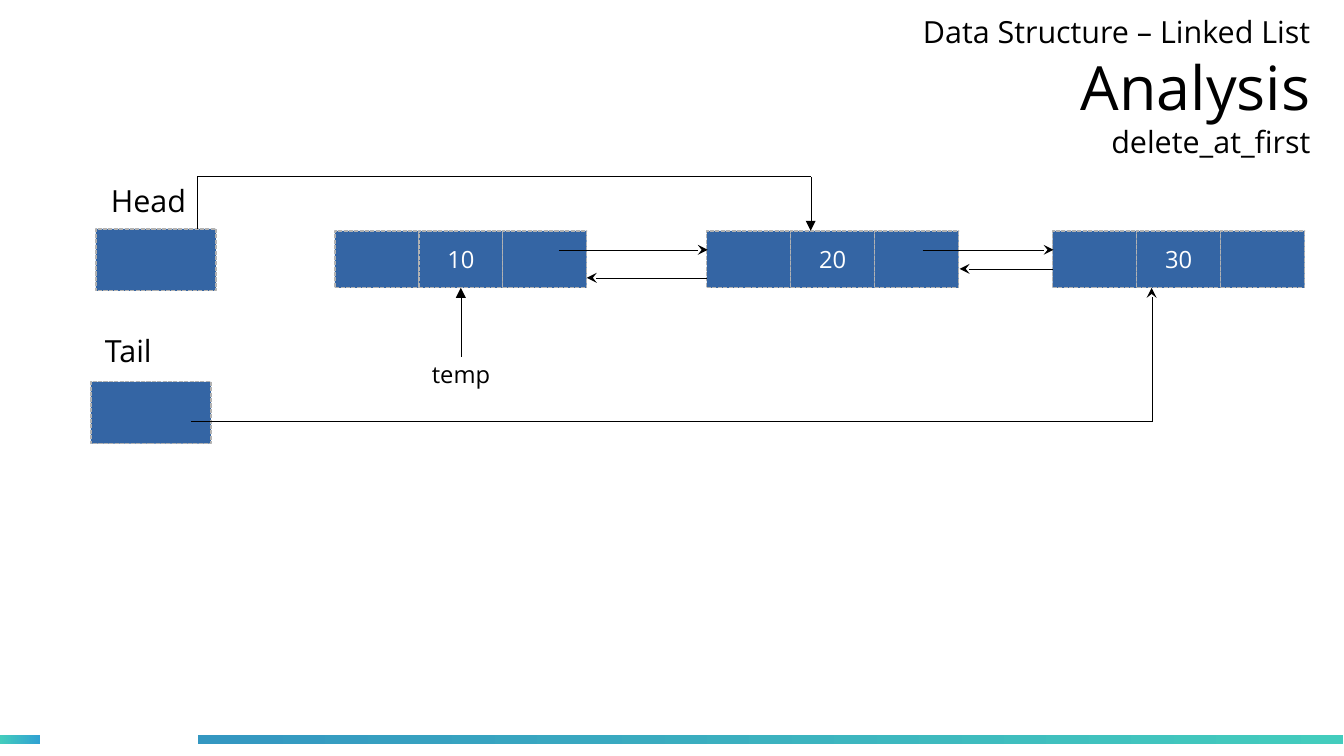
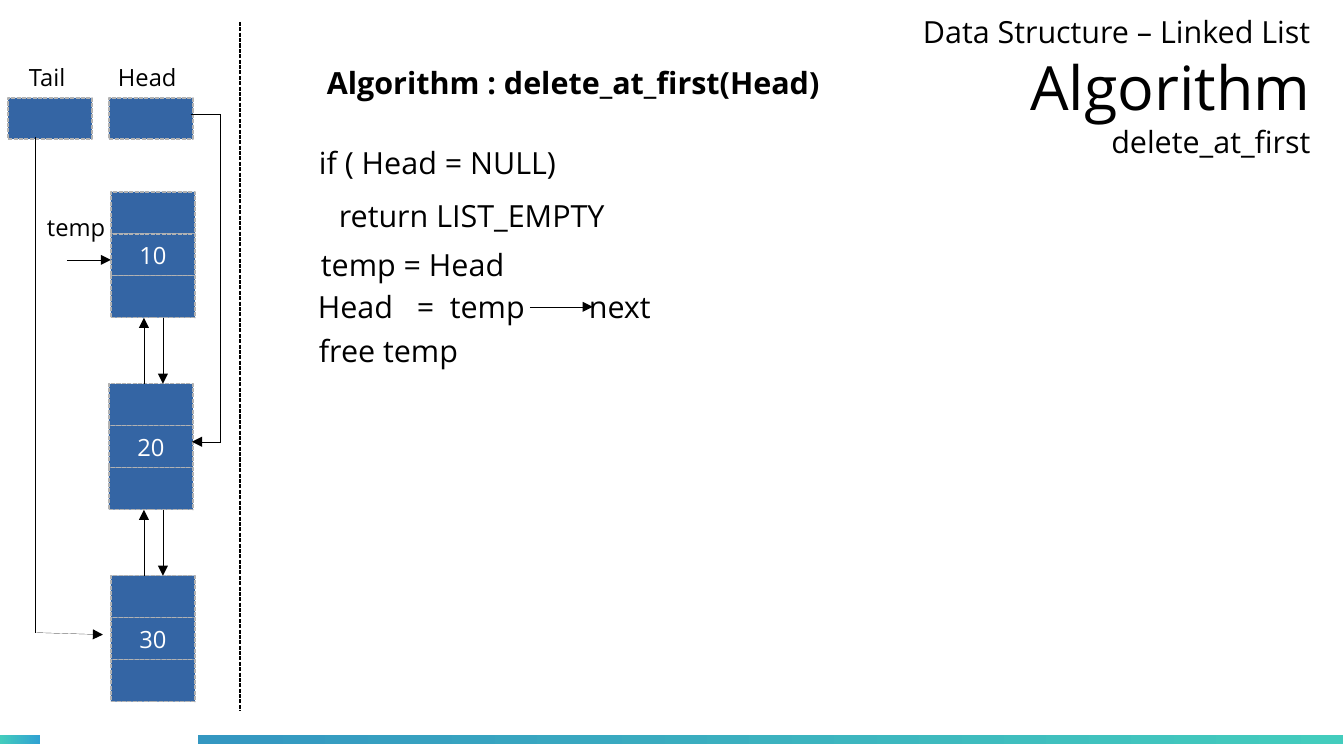
from itertools import pairwise

from lxml import etree
from pptx import Presentation
from pptx import util as u
from pptx.dml.color import RGBColor
from pptx.enum import dml, shapes, text
from pptx.oxml.ns import qn

PX = u.Inches(1) / 122
FONT = "Open Sans"
BLACK, WHITE, BLUE, GREY = "000000", "FFFFFF", "3465A4", "B2B2B2"
BANDS = [((0, 735, 40, 10), ("43CCBD", "30A2D2")),
         ((198, 735, 1146, 10), ("3497C1", "43CCBD"))]
DOTTED = dml.MSO_LINE.SQUARE_DOT
HAIRLINE = 0.01  # a width of zero would fall back to the theme's line


def px(n):
    return u.Emu(round(n * PX))


def rgb(color):
    return RGBColor.from_string(color)


def write(p, txt, size=18, color=BLACK, bold=False):
    r = p.add_run()
    r.text = txt
    r.font.name, r.font.size, r.font.bold = FONT, u.Pt(size), bold
    r.font.color.rgb = rgb(color)


def label(s, txt, x, y, w, h=54, tabs=(), **fmt):
    """Add a one-paragraph text box; tabs are px from the start of the text."""
    tf = s.shapes.add_textbox(*map(px, (x, y, w, h))).text_frame
    tf.word_wrap = True
    p = tf.paragraphs[0]
    if tabs:
        stops = etree.SubElement(p._p.get_or_add_pPr(), qn("a:tabLst"))
        for pos in tabs:
            etree.SubElement(stops, qn("a:tab"), pos=str(px(pos)), algn="l")
    write(p, txt, **fmt)


def title(s, topic, heading, detail):
    tf = s.shapes.add_textbox(*map(px, (889, -2, 422, 177))).text_frame
    tf.word_wrap = True
    tf.vertical_anchor = text.MSO_ANCHOR.MIDDLE
    tf.margin_left = tf.margin_right = tf.margin_top = tf.margin_bottom = 0
    p = tf.paragraphs[0]
    p.alignment = text.PP_ALIGN.RIGHT
    write(p, topic)
    p.add_line_break()
    write(p, heading, size=36)
    p.add_line_break()
    write(p, detail)


def rect(s, x, y, w, h):
    sp = s.shapes.add_shape(shapes.MSO_SHAPE.RECTANGLE, *map(px, (x, y, w, h)))
    sp.shadow.inherit = False
    return sp


def band(s, box, colors):
    sp = rect(s, *box)
    sp.fill.gradient()
    sp.fill.gradient_angle = 0
    for stop, color in zip(sp.fill.gradient_stops, colors):
        stop.color.rgb = rgb(color)
    sp.line.fill.background()


def cell(s, x, y, w, h, txt=""):
    sp = rect(s, x, y, w, h)
    sp.fill.solid()
    sp.fill.fore_color.rgb = rgb(BLUE)
    sp.line.color.rgb = rgb(GREY)
    sp.line.width = u.Pt(0.79)
    sp.line.dash_style = DOTTED
    if txt:
        tf = sp.text_frame
        tf.word_wrap = False
        tf.vertical_anchor = text.MSO_ANCHOR.MIDDLE
        tf.paragraphs[0].alignment = text.PP_ALIGN.CENTER
        write(tf.paragraphs[0], txt, size=14, color=WHITE)
    return sp


def node(s, x, y, w, h, value, dx=0, dy=0):
    """Draw previous, value and next cells, each a step of dx, dy on; return the value cell."""
    cells = [cell(s, x + i * dx, y + i * dy, w, h, txt)
             for i, txt in enumerate(("", value, ""))]
    return cells[1]


def line(s, start, end, head=None, width=HAIRLINE, dash=None):
    c = s.shapes.add_connector(shapes.MSO_CONNECTOR.STRAIGHT,
                               *map(px, (*start, *end)))
    c.line.color.rgb = rgb(BLACK)
    c.line.width = u.Pt(width)
    if dash:
        c.line.dash_style = dash
    if head:
        etree.SubElement(c.line._get_or_add_ln(), qn("a:tailEnd"), type=head)
    etree.SubElement(c._element.spPr, qn("a:effectLst"))
    return c


def route(s, *points, head="triangle"):
    """Join the points by lines, with an arrowhead on the last one."""
    *legs, last = pairwise(points)
    for leg in legs:
        line(s, *leg)
    line(s, *last, head=head)


def new_slide(prs, heading):
    s = prs.slides.add_slide(prs.slide_layouts[6])
    for box, colors in BANDS:
        band(s, box, colors)
    title(s, "Data Structure – Linked List", heading, "delete_at_first")
    return s


def analysis(prs):
    s = new_slide(prs, "Analysis")
    label(s, "Head", 99, 176, 120)
    label(s, "Tail", 93, 326, 120)
    cell(s, 96, 229, 120, 62)
    cell(s, 91, 382, 120, 62)

    first, *_ = [node(s, x, 231, 84, 57, value, dx=84)
                 for x, value in ((335, "10"), (707, "20"), (1053, "30"))]
    label(s, "temp", 420, 354, 87, 44, size=14)
    line(s, (461, 357), (461, 288), "triangle").end_connect(first, 2)

    for start, end, y in ((559, 708, 250), (707, 587, 278),
                          (923, 1054, 250), (1053, 960, 269)):
        line(s, (start, y), (end, y), "stealth")
    route(s, (198, 229), (198, 177), (811, 177), (811, 231))
    route(s, (192, 422), (1152, 422), (1152, 288), head="stealth")


def algorithm(prs):
    s = new_slide(prs, "Algorithm")
    line(s, (240, 22), (240, 711), width=0.79, dash=DOTTED)

    for x, label_x, name in ((8, 17, "Tail"), (109, 106, "Head")):
        cell(s, x, 98, 84, 41)
        label(s, name, label_x, 57, 90, 44, size=14)
    top, step, height = 192, 192, 42
    for i, (x, value) in enumerate(((111, "10"), (109, "20"), (111, "30"))):
        node(s, x, top + i * step, 84, height, value, dy=height)
    for i in range(2):
        upper = top + i * step + 3 * height
        lower = top + (i + 1) * step
        line(s, (163, upper), (163, lower), "triangle")
        line(s, (144, lower), (144, upper), "triangle")

    label(s, "temp", 35, 207, 90, 44, size=14)
    line(s, (67, 260), (111, 260), "triangle")
    route(s, (36, 138), (36, 633), (103, 635))
    route(s, (192, 115), (221, 115), (221, 442), (192, 442))

    label(s, "Algorithm : delete_at_first(Head)", 315, 58, 637, bold=True)
    for x, y, code in ((307, 138, "if ( Head = NULL)"),
                       (327, 191, "return LIST_EMPTY"),
                       (309, 240, "temp = Head"),
                       (307, 326, "free temp")):
        label(s, code, x, y, 384)
    label(s, "Head\t=\ttemp\tnext", 306, 282, 462, tabs=(99, 132, 271))
    line(s, (530, 307), (593, 307), "triangle")


def main():
    prs = Presentation()
    prs.slide_width, prs.slide_height = u.Inches(11.02), u.Inches(6.2)
    analysis(prs)
    algorithm(prs)
    prs.save("out.pptx")


if __name__ == "__main__":
    main()
